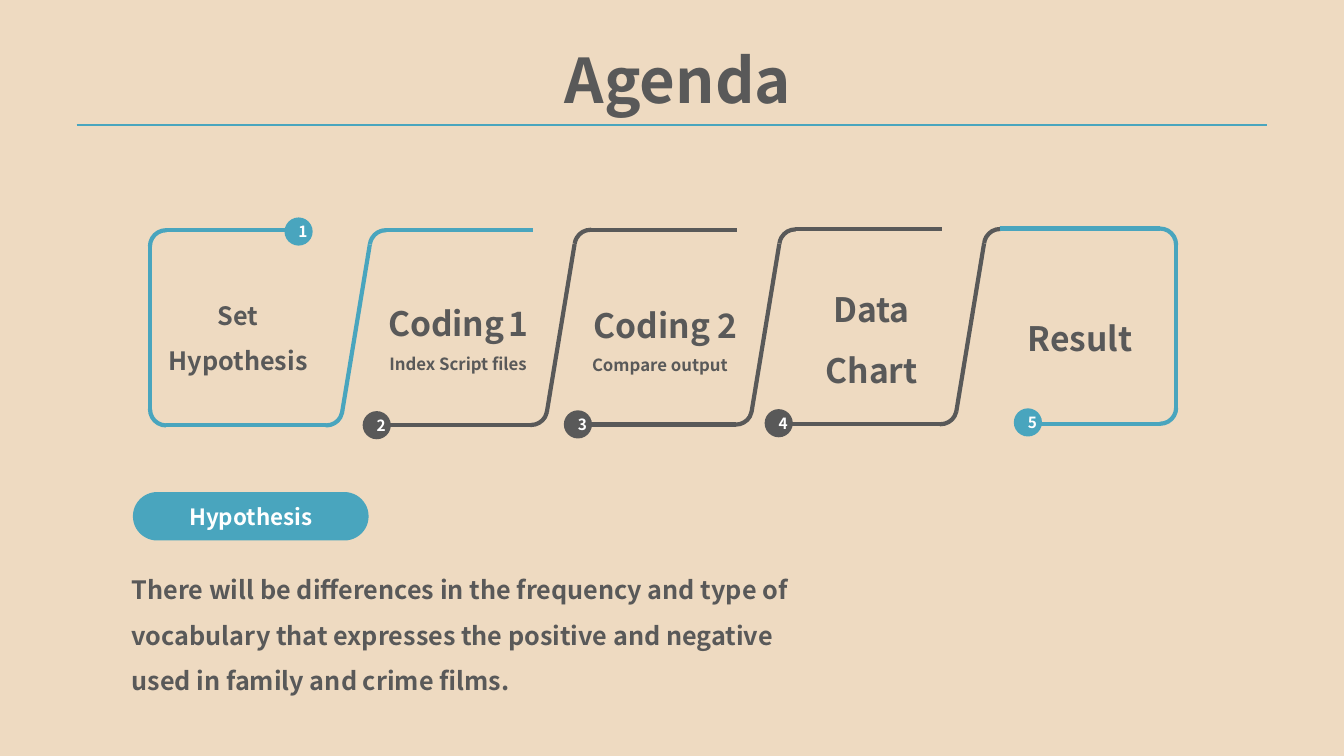
from pptx import Presentation
from pptx.dml.color import RGBColor
from pptx.enum.shapes import MSO_CONNECTOR, MSO_SHAPE
from pptx.enum.text import MSO_ANCHOR, MSO_AUTO_SIZE, PP_ALIGN
from pptx.oxml.ns import qn
from pptx.util import Cm, Pt
from lxml import etree

STRAIGHT = MSO_CONNECTOR.STRAIGHT
ARC, OVAL, PILL = MSO_SHAPE.ARC, MSO_SHAPE.OVAL, MSO_SHAPE.ROUNDED_RECTANGLE
CENTER, LEFT, JUSTIFY = PP_ALIGN.CENTER, PP_ALIGN.LEFT, PP_ALIGN.JUSTIFY

COLORS = {"sand": "EEDAC1", "blue": "49A5BE", "grey": "595959", "white": "FFFFFF"}
FONT = "Noto Sans CJK KR"
CORNER = 0.81
RADIUS = CORNER / 2
TRACK_HEIGHT = 4.92
TRACK_WIDTH = 3
PITCH = 5.16
LINK_COLORS = ["blue", "grey", "grey", "grey"]

# left, top, width, height, paragraphs of (runs of (text, size), alignment, indent)
STAGES = [
    (3.73, 7.06, 4.55, 2.41, [([("Set Hypothesis", 18)], CENTER, 0)]),
    (9.27, 7.01, 4.55, 2.46, [([("Coding", 24), (" ", 12), ("1", 24)], CENTER, 0),
                              ([("Index Script files", 12)], CENTER, 0)]),
    (14.5, 7.04, 4.55, 2.46, [([("Coding 2", 24)], CENTER, 0),
                              ([("Compare output", 12)], JUSTIFY, 0.17)]),
    (19.69, 6.65, 4.55, 3.12, [([("Data Chart", 24)], CENTER, 0)]),
    (24.94, 7.37, 4.55, 1.6, [([("Result", 24)], CENTER, 0)]),
]
BADGES = [(7.17, 5.48, "blue"), (9.14, 10.36, "grey"), (14.21, 10.34, "grey"),
          (19.27, 10.31, "grey"), (25.55, 10.29, "blue")]
HYPOTHESIS = ("There will be differences in the frequency and type of vocabulary that "
              "expresses the positive and negative used in family and crime films.")


def rgb(name):
    return RGBColor.from_string(COLORS[name])


def add_line(slide, start, end, color, width=TRACK_WIDTH):
    line = slide.shapes.add_connector(STRAIGHT, *map(Cm, start + end))
    line.line.color.rgb = rgb(color)
    line.line.width = Pt(width)
    etree.SubElement(line._element.spPr, qn("a:effectLst"))


def add_corner(slide, left, top, rotation, color, sweep=(162, 1)):
    """Draw a rounded corner; sweep holds the arc's start and end angles."""
    corner = slide.shapes.add_shape(ARC, *map(Cm, (left, top, CORNER, CORNER)))
    for index, angle in enumerate(sweep):
        corner.adjustments[index] = angle
    corner.rotation = rotation
    corner.shadow.inherit = False
    corner.fill.background()
    corner.line.color.rgb = rgb(color)
    corner.line.width = Pt(TRACK_WIDTH)


def write_runs(paragraph, runs, color, alignment):
    paragraph.alignment = alignment
    for text, size in runs:
        run = paragraph.add_run()
        run.text = text
        run.font.color.rgb = rgb(color)
        for key, value in {"name": FONT, "size": Pt(size), "bold": True}.items():
            setattr(run.font, key, value)


def add_text(slide, box, paragraphs):
    frame = slide.shapes.add_textbox(*map(Cm, box)).text_frame
    frame.word_wrap = True
    frame.auto_size = MSO_AUTO_SIZE.SHAPE_TO_FIT_TEXT
    for index, (runs, alignment, indent) in enumerate(paragraphs):
        paragraph = frame.add_paragraph() if index else frame.paragraphs[0]
        paragraph.line_spacing = 1.5
        write_runs(paragraph, runs, "grey", alignment)
        if indent:
            paragraph._p.get_or_add_pPr().set("marL", str(Cm(indent)))


def add_label(slide, kind, box, text, size, fill):
    label = slide.shapes.add_shape(kind, *map(Cm, box))
    label.shadow.inherit = False
    label.fill.solid()
    label.fill.fore_color.rgb = rgb(fill)
    label.line.fill.background()
    label.text_frame.vertical_anchor = MSO_ANCHOR.MIDDLE
    write_runs(label.text_frame.paragraphs[0], [(text, size)], "white", CENTER)
    return label


def add_heading(slide, left, top, width):
    add_text(slide, (left + 7.73, top, 14.86, 2.72), [([("Agenda", 44)], CENTER, 0)])
    add_line(slide, (left, top + 3.15), (left + width, top + 3.15), "blue", 1.5)


def add_bracket(slide, edge, top, inward, top_run, base_run, rotations):
    """Draw an end of the track; inward is 1 when it opens right, -1 when left."""
    base = top + TRACK_HEIGHT
    inner = edge + inward * RADIUS
    corner_left = min(edge, edge + inward * CORNER)
    for y, rotation in zip((top, base - CORNER), rotations):
        add_corner(slide, corner_left, y, rotation, "blue")
    add_line(slide, (edge, top + RADIUS), (edge, base - RADIUS), "blue")
    for y, run in ((top, top_run), (base, base_run)):
        add_line(slide, (inner, y), (inner + inward * run, y), "blue")


def add_link(slide, left, top, color, has_base, has_tip):
    """Draw the slanted divider between two stages, with its level ends."""
    base = top + TRACK_HEIGHT
    sweep = (168.61, 1.46)
    if has_base:
        add_line(slide, (left - 3.65, base), (left + RADIUS, base), color)
    add_corner(slide, left, base - CORNER, 90, color, sweep)
    add_line(slide, (left + 0.8, top + 4.6), (left + 1.5, top + 0.36), color)
    add_corner(slide, left + 1.5, top, 270, color, (166.35, 1.26))
    if has_tip:
        add_line(slide, (left + 1.9, top), (left + 5.6, top), color)


def add_track(slide, left, top, width):
    add_bracket(slide, left, top, 1, 3.2, 4.04, (270, 180))
    last = len(LINK_COLORS) - 1
    for index, color in enumerate(LINK_COLORS):
        add_link(slide, left + 4.04 + index * PITCH, top - 0.01 * index, color,
                 index > 0, index < last)
    add_bracket(slide, left + width, top - 0.04, -1, 4.04, 3.2, (0, 90))
    for *box, paragraphs in STAGES:
        add_text(slide, box, paragraphs)
    for number, (x, y, color) in enumerate(BADGES, start=1):
        add_label(slide, OVAL, (x, y, 0.71, 0.71), str(number), 11, color)


def add_hypothesis(slide, left, top):
    add_text(slide, (left, top + 1.57, 17.37, 3.58), [([(HYPOTHESIS, 18)], LEFT, 0)])
    pill = add_label(slide, PILL, (left + 0.28, top, 5.94, 1.22), "Hypothesis", 16, "blue")
    pill.adjustments[0] = 0.5


def main():
    deck = Presentation()
    deck.slide_width, deck.slide_height = Cm(33.87), Cm(19.05)
    slide = deck.slides.add_slide(deck.slide_layouts[6])
    slide.background.fill.solid()
    slide.background.fill.fore_color.rgb = rgb("sand")
    add_heading(slide, 1.93, 0, 30)
    add_track(slide, 3.78, 5.8, 25.86)
    add_hypothesis(slide, 3.07, 12.4)
    deck.save("out.pptx")


if __name__ == "__main__":
    main()
